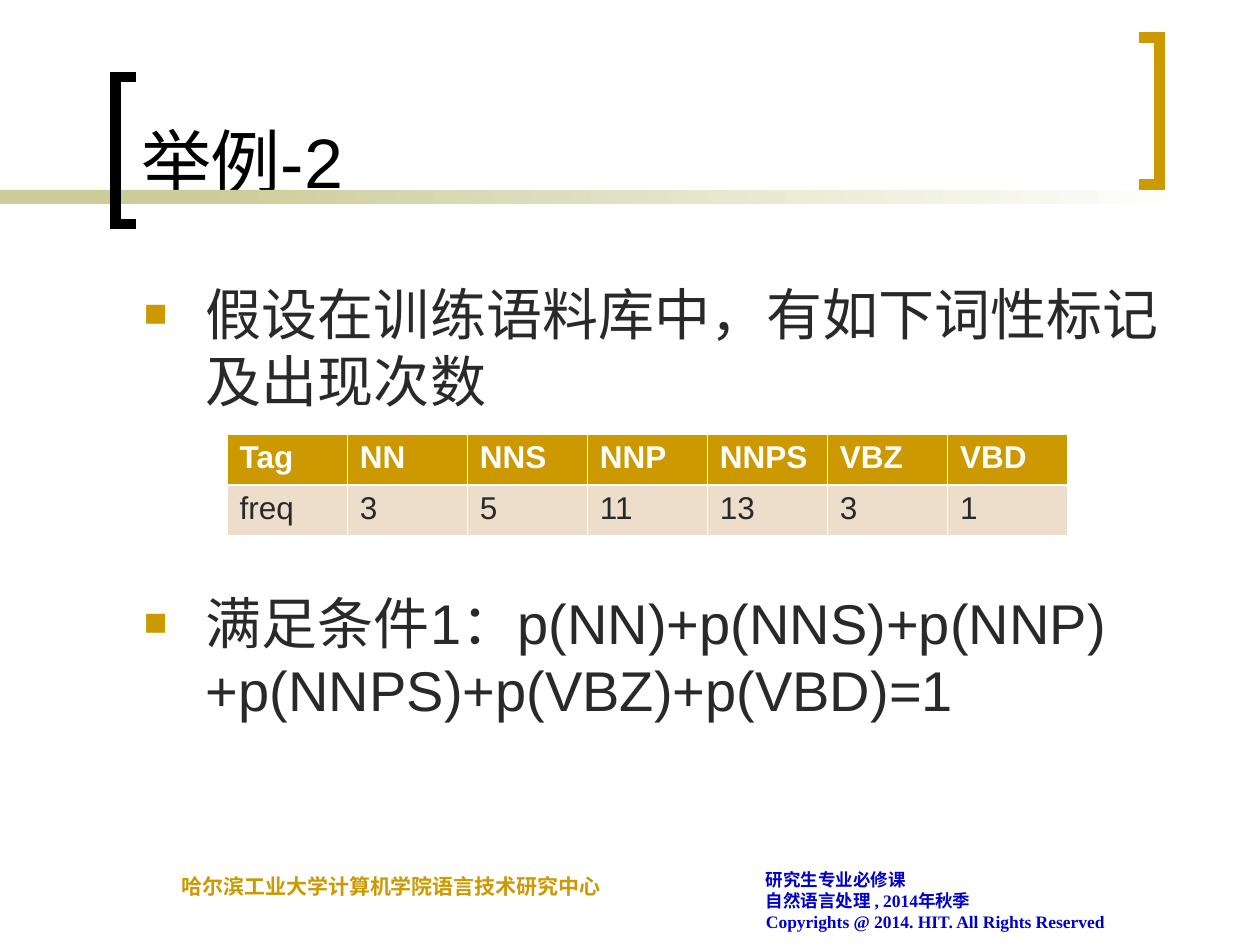
from dataclasses import dataclass

from lxml import etree
from pptx import Presentation
from pptx.dml.color import RGBColor
from pptx.enum.shapes import MSO_SHAPE
from pptx.enum.text import MSO_ANCHOR, MSO_AUTO_SIZE, PP_ALIGN
from pptx.oxml.ns import qn
from pptx.util import Pt

RECT = MSO_SHAPE.RECTANGLE
LEFT = PP_ALIGN.LEFT
TOP, BOTTOM = MSO_ANCHOR.TOP, MSO_ANCHOR.BOTTOM
NO_FIT = MSO_AUTO_SIZE.NONE


@dataclass(frozen=True)
class Theme:
    """Colours, fonts and type sizes of the slide."""
    gold: str = "CC9900"
    sand: str = "CCCC99"
    cream: str = "ECDECB"
    white: str = "FFFFFF"
    black: str = "000000"
    ink: str = "292929"
    blue: str = "0000CC"
    sans: str = "Arial"
    serif: str = "Times New Roman"
    title: int = 40
    body: int = 32
    cell: int = 18
    unit: int = 12
    note: int = 10


THEME = Theme()
POINTS = [
    ("假设在训练语料库中，有如下词性标记及出现次数", 0),
    ("满足条件1：p(NN)+p(NNS)+p(NNP)+p(NNPS)+p(VBZ)+p(VBD)=1", 100),
]
COUNTS = [
    ["Tag", "NN", "NNS", "NNP", "NNPS", "VBZ", "VBD"],
    ["freq", "3", "5", "11", "13", "3", "1"],
]
COURSE = "研究生专业必修课\n自然语言处理 , 2014年秋季\nCopyrights @ 2014. HIT. All Rights Reserved"
CENTRE = "哈尔滨工业大学计算机学院语言技术研究中心"


def rgb(code):
    """Turn a hex code into a colour."""
    return RGBColor.from_string(code)


def style(para, size, color, face=THEME.sans, bold=False):
    """Format the runs of a paragraph."""
    for run in para.runs:
        font = run.font
        font.size, font.name, font.bold = Pt(size), face, bold
        font.color.rgb = rgb(color)


def place(shape, left, top, width, height):
    """Move and size a shape, in points."""
    shape.left, shape.top = Pt(left), Pt(top)
    shape.width, shape.height = Pt(width), Pt(height)


def add_band(slide, left, width, fade=False):
    """Draw a piece of the rule below the title."""
    band = slide.shapes.add_shape(RECT, Pt(left), Pt(108.6), Pt(width), Pt(8))
    band.shadow.inherit = False
    band.line.fill.background()
    if fade:
        band.fill.gradient()
        band.fill.gradient_angle = 0
        for stop, code in zip(band.fill.gradient_stops, (THEME.sand, THEME.white)):
            stop.color.rgb = rgb(code)
    else:
        band.fill.solid()
        band.fill.fore_color.rgb = rgb(THEME.sand)


def add_hook(slide, tip, back, top, color):
    """Draw a square bracket whose arms reach from back to tip."""
    end = top + 84
    pen = slide.shapes.build_freeform(Pt(tip), Pt(top))
    spots = [(back, top), (back, end), (tip, end)]
    pen.add_line_segments([(Pt(x), Pt(y)) for x, y in spots], close=False)
    hook = pen.convert_to_shape()
    hook.shadow.inherit = False
    hook.fill.background()
    hook.line.width = Pt(6)
    hook.line.color.rgb = rgb(color)
    etree.SubElement(hook.line._ln, qn("a:miter"), lim="800000")


def set_title(slide, text):
    """Fill the title placeholder."""
    title = slide.shapes.title
    place(title, 73.4, 8, 564, 111.6)
    frame = title.text_frame
    frame.text = text
    frame.auto_size, frame.vertical_anchor = NO_FIT, BOTTOM
    para = frame.paragraphs[0]
    para.alignment = LEFT
    style(para, THEME.title, THEME.black)


def add_bullet(para):
    """Give a paragraph a hanging gold square."""
    props = para._p.get_or_add_pPr()
    props.set("marL", str(Pt(35.5)))
    props.set("indent", str(-Pt(35.5)))
    tint = etree.SubElement(props, qn("a:buClr"))
    etree.SubElement(tint, qn("a:srgbClr"), val=THEME.gold)
    etree.SubElement(props, qn("a:buSzPct"), val="70000")
    etree.SubElement(props, qn("a:buFont"), typeface=THEME.sans)
    etree.SubElement(props, qn("a:buChar"), char="■")


def set_body(slide, points):
    """Fill the body placeholder with bullet points."""
    body = slide.placeholders[1]
    place(body, 75, 156, 603.5, 324)
    frame = body.text_frame
    frame.text = "\n".join(text for text, _ in points)
    frame.auto_size, frame.vertical_anchor = NO_FIT, TOP
    for para, (_, gap) in zip(frame.paragraphs, points):
        add_bullet(para)
        para.space_before = Pt(gap)
        style(para, THEME.body, THEME.ink)


def add_edge(cell, side, width):
    """Draw one white border of a cell."""
    props = cell._tc.get_or_add_tcPr()
    edge = etree.SubElement(props, qn("a:ln" + side), w=str(Pt(width)))
    fill = etree.SubElement(edge, qn("a:solidFill"))
    etree.SubElement(fill, qn("a:srgbClr"), val=THEME.white)


def add_counts(slide, rows):
    """Add the table of tag counts."""
    frame = slide.shapes.add_table(
        len(rows), len(rows[0]), Pt(129.8), Pt(248), Pt(480.2), Pt(58))
    table = frame.table
    table.first_row = table.horz_banding = False
    for col in table.columns:
        col.width = Pt(68.6)
    for i, row in enumerate(rows):
        head = i == 0
        table.rows[i].height = Pt(29)
        thick = "B" if head else "T"
        for j, text in enumerate(row):
            cell = table.cell(i, j)
            cell.text = text
            for side in "LRTB":
                add_edge(cell, side, 1.47 if side == thick else 0.45)
            cell.fill.solid()
            cell.fill.fore_color.rgb = rgb(THEME.gold if head else THEME.cream)
            style(cell.text_frame.paragraphs[0], THEME.cell,
                  THEME.white if head else THEME.ink, bold=head)


def add_note(slide, text, spot, size, color):
    """Add a bold footer text."""
    box = slide.shapes.add_textbox(*map(Pt, spot))
    frame = box.text_frame
    frame.word_wrap = True
    frame.text = text
    for para in frame.paragraphs:
        style(para, size, color, THEME.serif, True)


def main():
    """Build the slide and save it."""
    deck = Presentation()
    deck.slide_width, deck.slide_height = Pt(720), Pt(540)
    slide = deck.slides.add_slide(deck.slide_layouts[1])
    add_band(slide, 0, 168)
    add_band(slide, 114, 570, fade=True)
    add_hook(slide, 78, 66, 44, THEME.black)
    add_hook(slide, 650.7, 662.7, 21.5, THEME.gold)
    set_title(slide, "举例-2")
    set_body(slide, POINTS)
    add_counts(slide, COUNTS)
    add_note(slide, COURSE, (430.6, 493.2, 218, 49), THEME.note, THEME.blue)
    add_note(slide, CENTRE, (96.5, 495.4, 329, 46.8), THEME.unit, THEME.gold)
    deck.save("out.pptx")


if __name__ == "__main__":
    main()
